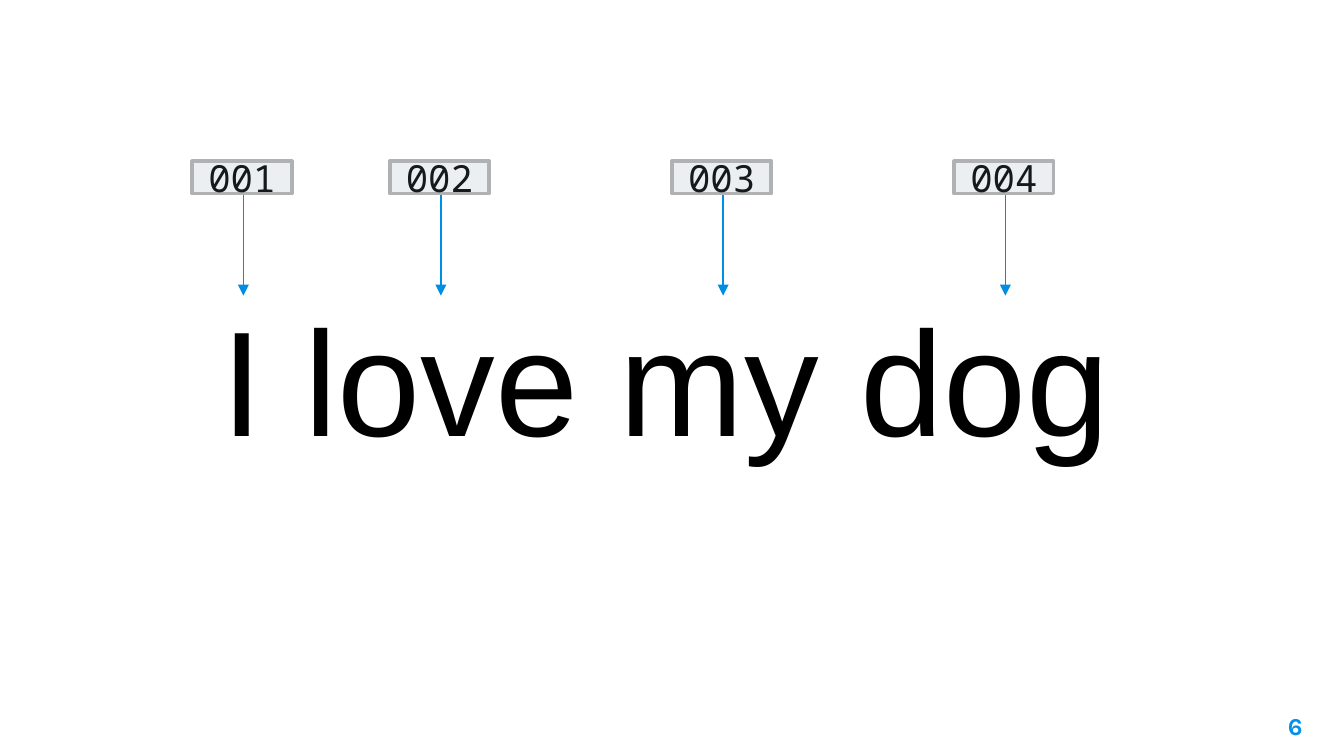
from dataclasses import dataclass

from lxml import etree
from pptx import Presentation
from pptx.dml.color import RGBColor
from pptx.enum import shapes, text
from pptx.oxml import ns
from pptx.util import Pt

BLACK = RGBColor(0x00, 0x00, 0x00)
INK = RGBColor(0x14, 0x19, 0x1B)
PALE = RGBColor(0xEC, 0xEF, 0xF1)
GREY = RGBColor(0xAF, 0xB1, 0xB2)
BLUE = RGBColor(0x00, 0x8E, 0xE5)
PAGE = RGBColor(0x00, 0x91, 0xEA)

TOP, WIDE, HIGH = 86.4, 53.3, 17.3
START, STOP = 104.4, 158.4
SHIFT = 27.4


@dataclass
class Token:
    label: str
    left: float


TOKENS = [Token("001", 103)] + [
    Token(f"{n:03}", 208.8 + 151.2 * (n - 2)) for n in range(2, 5)
]


def apply(item, form: dict) -> None:
    for key, value in form.items():
        setattr(item, key, value)


def place(shape, left: float, top: float, width: float, height: float) -> None:
    apply(shape, {"left": Pt(left), "top": Pt(top),
                  "width": Pt(width), "height": Pt(height)})


def write(shape, words: str, font: dict, color: RGBColor, align, frame: dict) -> None:
    body = shape.text_frame
    apply(body, {"word_wrap": True, **frame})
    para = body.paragraphs[0]
    para.alignment = align
    run = para.add_run()
    run.text = words
    apply(run.font, font)
    run.font.color.rgb = color


def stroke(shape, color: RGBColor, width: float) -> None:
    shape.line.color.rgb = color
    shape.line.width = Pt(width)


def draw_arrow(slide, x: float) -> None:
    arrow = slide.shapes.add_connector(
        shapes.MSO_CONNECTOR.STRAIGHT, Pt(x), Pt(START), Pt(x), Pt(STOP))
    stroke(arrow, BLUE, 0.75)
    etree.SubElement(arrow.line._get_or_add_ln(), ns.qn("a:tailEnd"), type="triangle")
    etree.SubElement(arrow._element.spPr, ns.qn("a:effectLst"))


def draw_token(slide, token: Token) -> None:
    draw_arrow(slide, token.left + SHIFT)
    box = slide.shapes.add_shape(
        shapes.MSO_SHAPE.RECTANGLE, Pt(token.left), Pt(TOP), Pt(WIDE), Pt(HIGH))
    box.shadow.inherit = False
    box.fill.solid()
    box.fill.fore_color.rgb = PALE
    stroke(box, GREY, 2)
    write(box, token.label, {"name": "Noto Sans Mono", "size": Pt(20)}, INK,
          text.PP_ALIGN.CENTER, {"vertical_anchor": text.MSO_ANCHOR.MIDDLE})


def draw_title(slide) -> None:
    title = slide.shapes.title
    place(title, 111.6, 150.5, 496, 104.4)
    write(title, "I love my dog", {"name": "Arial", "size": Pt(80)}, BLACK,
          text.PP_ALIGN.LEFT,
          {"vertical_anchor": text.MSO_ANCHOR.TOP,
           "auto_size": text.MSO_AUTO_SIZE.SHAPE_TO_FIT_TEXT})


def draw_page(slide) -> None:
    box = slide.shapes.add_textbox(Pt(661.7), Pt(373.7), Pt(43.2), Pt(31))
    sides = ("left", "top", "right", "bottom")
    write(box, "6", {"name": "Karla", "size": Pt(13), "bold": True}, PAGE,
          text.PP_ALIGN.RIGHT, {f"margin_{side}": Pt(7.2) for side in sides})


def main() -> None:
    deck = Presentation()
    apply(deck, {"slide_width": Pt(720), "slide_height": Pt(405)})
    slide = deck.slides.add_slide(deck.slide_layouts.get_by_name("Title Only"))
    draw_title(slide)
    draw_page(slide)
    for token in TOKENS:
        draw_token(slide, token)
    deck.save("out.pptx")


if __name__ == "__main__":
    main()
